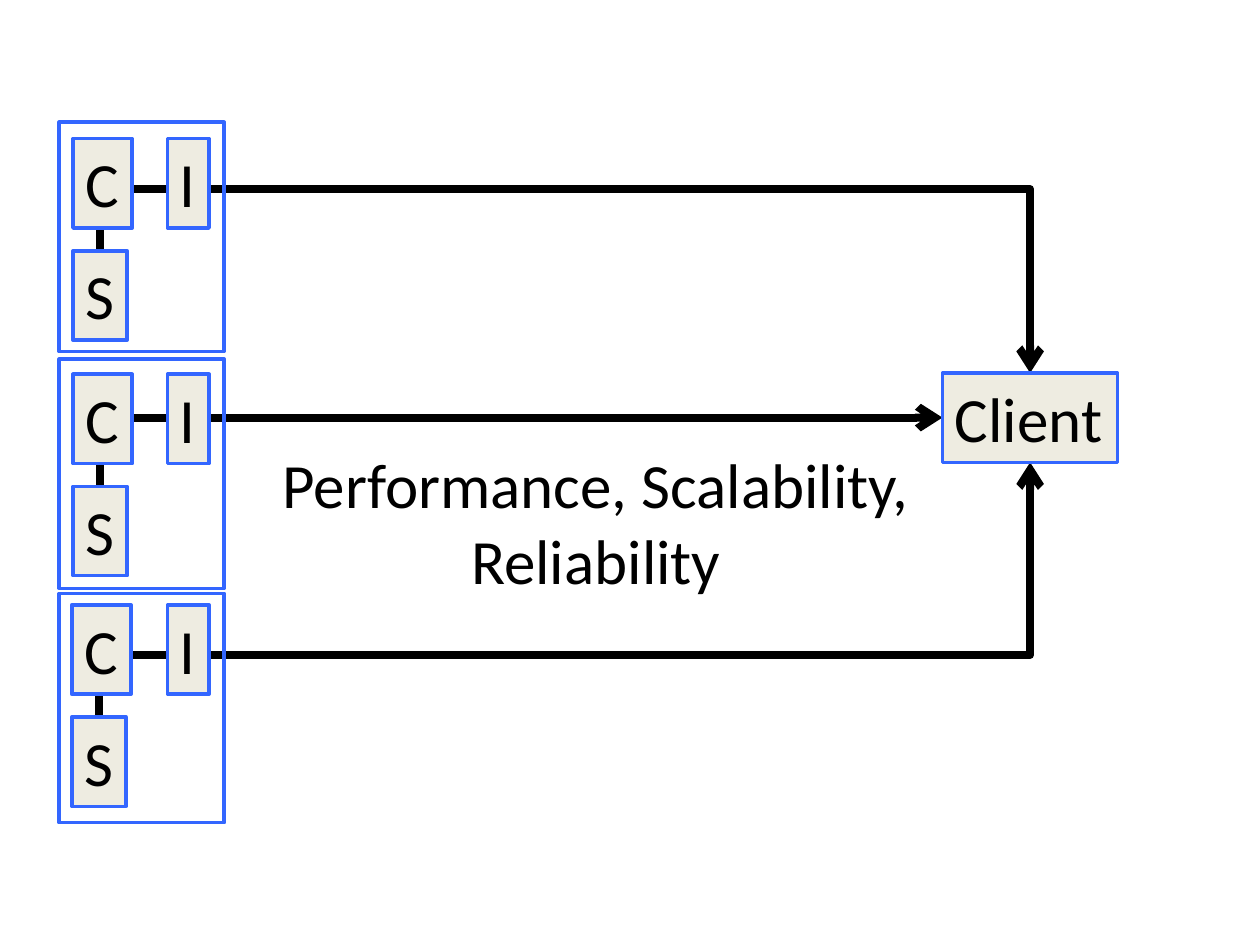
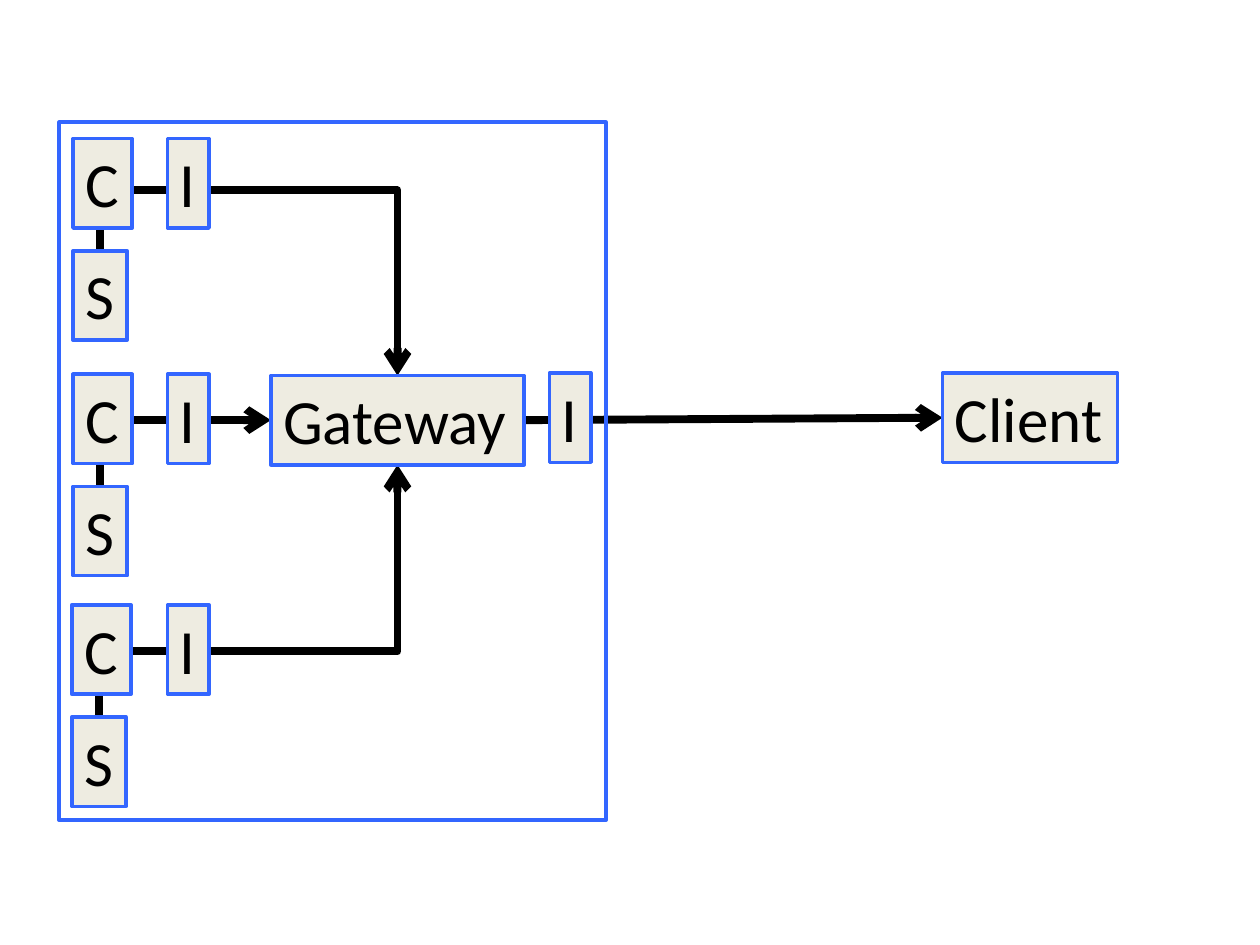
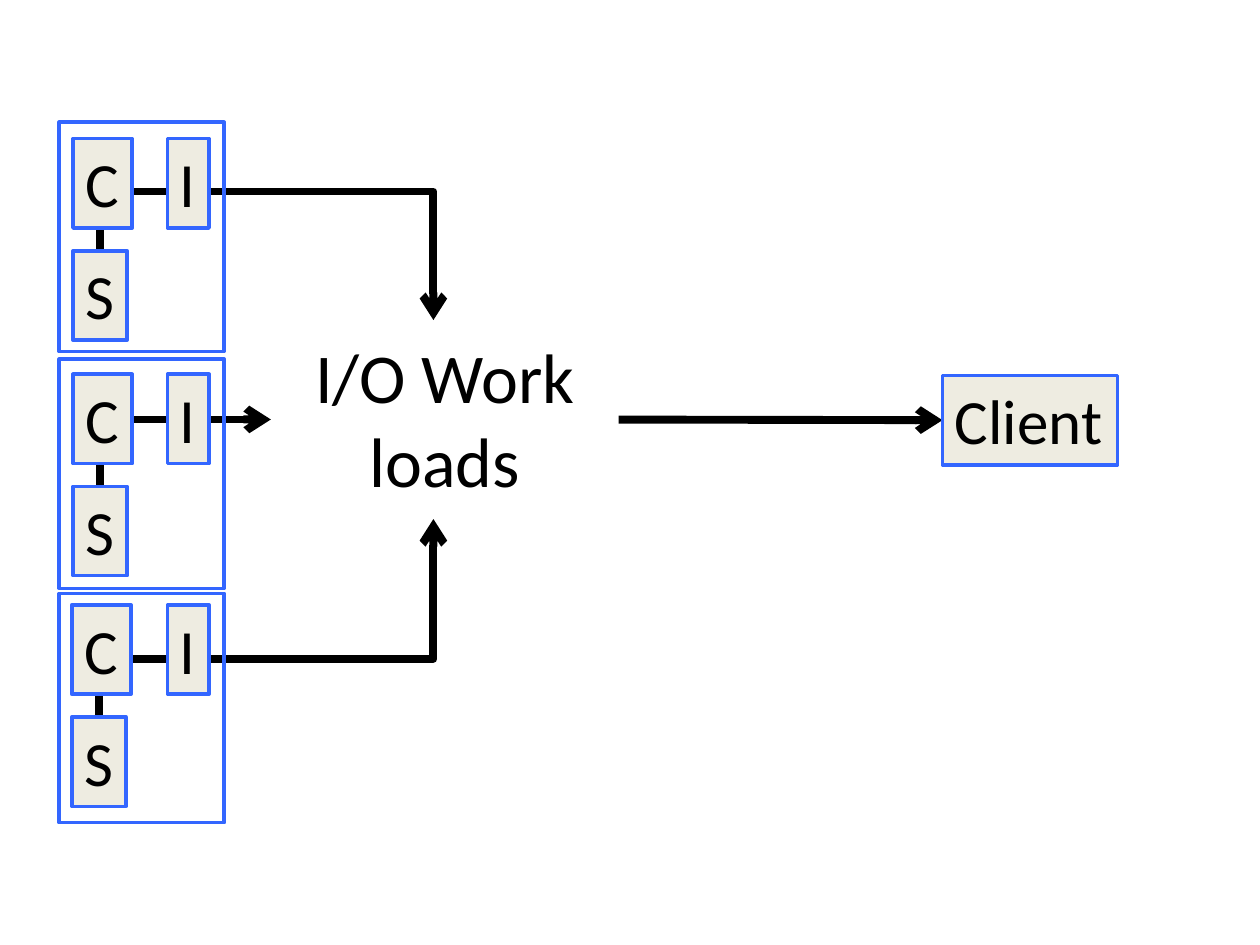
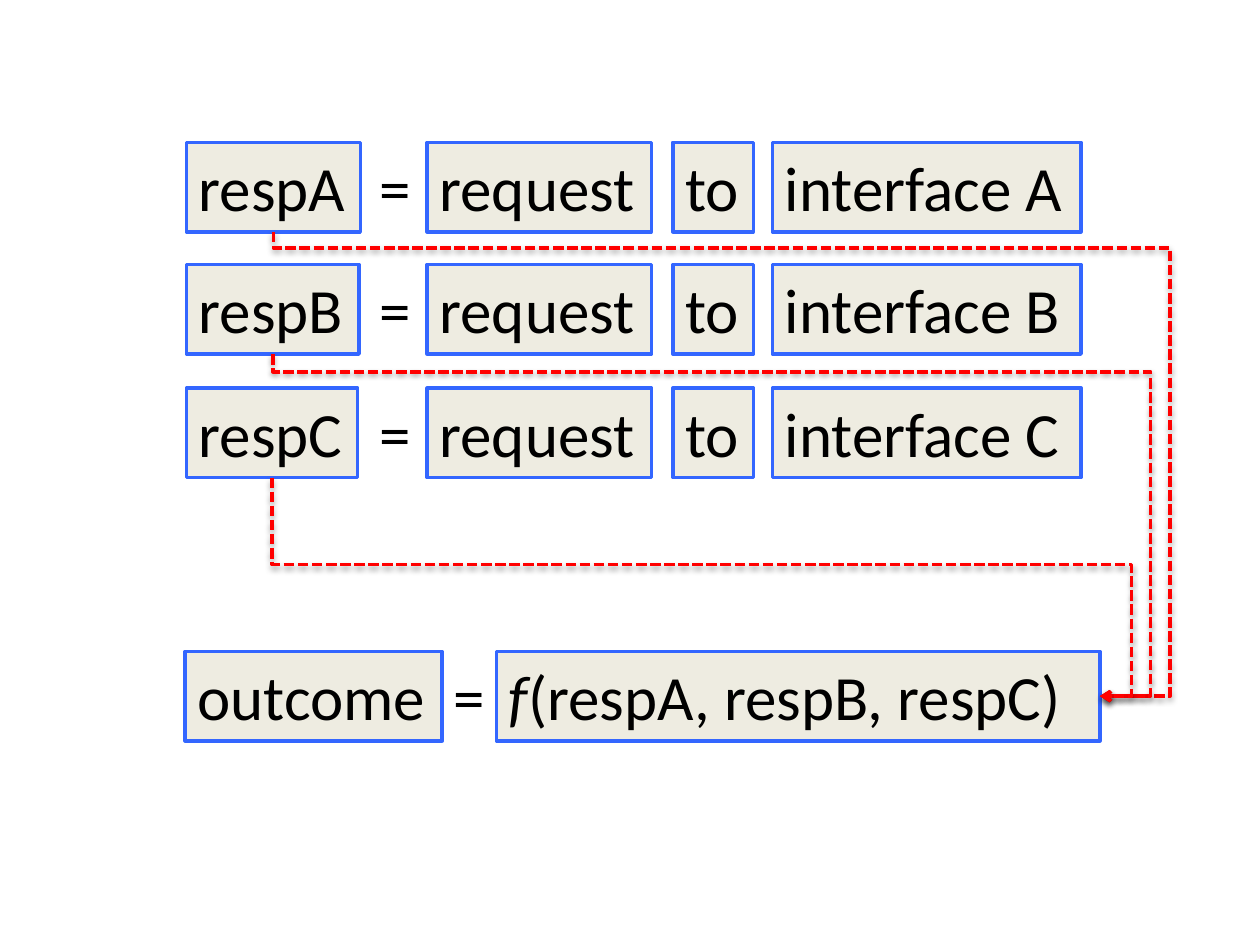
"""Build four diagram slides about clients, interfaces and composed responses."""
from dataclasses import dataclass

from lxml.etree import SubElement
from pptx import Presentation
from pptx.dml.color import RGBColor
from pptx.enum.dml import MSO_LINE
from pptx.enum.shapes import MSO_CONNECTOR, MSO_SHAPE
from pptx.enum.text import MSO_AUTO_SIZE, PP_ALIGN
from pptx.oxml import parse_xml
from pptx.oxml.ns import nsdecls, qn
from pptx.util import Inches, Pt


@dataclass(frozen=True)
class Theme:
    font: str = "Calibri"
    ink: RGBColor = RGBColor(0, 0, 0)
    fill: RGBColor = RGBColor(0xEE, 0xEC, 0xE1)
    border: RGBColor = RGBColor(0x33, 0x66, 0xFF)
    feedback: RGBColor = RGBColor(0xFF, 0, 0)
    label_size: Pt = Pt(36)
    large_size: Pt = Pt(40)
    thin: Pt = Pt(2)
    thick: Pt = Pt(4.5)


theme = Theme()
deck = Presentation()
deck.slide_width, deck.slide_height = Inches(10), Inches(7.5)
COLUMN = deck.slide_width // 100
ROW = deck.slide_height // 75
LABEL_ROWS = 7.1
TOP, LEFT, BOTTOM, RIGHT = range(4)
SHADOW = (
    f'<a:effectLst {nsdecls("a")}><a:outerShdw blurRad="40000" dist="20000" dir="5400000" '
    'rotWithShape="0"><a:srgbClr val="000000"><a:alpha val="38000"/></a:srgbClr>'
    '</a:outerShdw></a:effectLst>'
)


def add_label(page, text, column, row, columns, rows=LABEL_ROWS, boxed=True, size=theme.label_size):
    box = page.shapes.add_textbox(
        round(column * COLUMN), round(row * ROW), round(columns * COLUMN), round(rows * ROW))
    frame = box.text_frame
    frame.text = text
    frame.word_wrap = rows > LABEL_ROWS
    frame.auto_size = MSO_AUTO_SIZE.SHAPE_TO_FIT_TEXT
    if boxed:
        box.fill.solid()
        box.fill.fore_color.rgb = theme.fill
        box.line.color.rgb = theme.border
        box.line.width = theme.thin
    for para in frame.paragraphs:
        para.alignment = PP_ALIGN.CENTER if frame.word_wrap else PP_ALIGN.LEFT
        for span in para.runs:
            span.font.name, span.font.size = theme.font, size
            span.font.color.rgb = theme.ink
    return box


def add_arrow(page, source, target, turns=None, end=(0, 0), feedback=False):
    kind = MSO_CONNECTOR.STRAIGHT if turns is None else MSO_CONNECTOR.ELBOW
    arrow = page.shapes.add_connector(kind, 0, 0, round(end[0] * COLUMN), round(end[1] * ROW))
    arrow.begin_connect(*source)
    if target:
        arrow.end_connect(*target)
    properties = arrow._element.spPr
    if turns is not None:
        start_x, start_y, end_x, end_y = arrow.begin_x, arrow.begin_y, arrow.end_x, arrow.end_y
        across, along = abs(end_x - start_x), abs(end_y - start_y)
        rising = end_y < start_y
        arrow.left = (start_x + end_x - along) // 2
        arrow.top = (start_y + end_y - across) // 2
        arrow.width, arrow.height = along, across
        arrow.rotation = 90 if rising else 270
        properties.xfrm.flipH, properties.xfrm.flipV = True, rising
        geometry = properties.find(qn("a:prstGeom"))
        geometry.set("prst", f"bentConnector{len(turns) + 2}")
        guides = geometry.find(qn("a:avLst"))
        spans = ((ROW, start_y, end_y), (COLUMN, start_x, end_x))
        for number, (turn, (unit, first, last)) in enumerate(zip(turns, spans), 1):
            share = round((turn * unit - first) / (last - first) * 100000)
            SubElement(guides, qn("a:gd"), name=f"adj{number}", fmla=f"val {share}")
    arrow.line.color.rgb = theme.feedback if feedback else theme.ink
    arrow.line.width = theme.thin if feedback else theme.thick
    if feedback:
        arrow.line.dash_style = MSO_LINE.SQUARE_DOT
    SubElement(properties.find(qn("a:ln")), qn("a:tailEnd"), type="arrow")
    if feedback:
        properties.append(parse_xml(SHADOW))
    else:
        SubElement(properties, qn("a:effectLst"))
        page.shapes._spTree.insert(2, arrow._element)


blank = deck.slide_layouts[6]
separate_frames = [(row, 13.1, 18.2) for row in (9.7, 28.5, 47.1)]
shared_frame = [(9.7, 43.4, 55.4)]
scenes = [
    ("quality", separate_frames, 29.6, 15, 52),
    ("gateway", shared_frame, 29.6, 15.1, 51.7),
    ("workload", separate_frames, 29.8, 15.2, 52.3),
]
for scene, frames, client_row, upper_turn, lower_turn in scenes:
    page = deck.slides.add_slide(blank)
    for row, columns, rows in frames:
        frame = page.shapes.add_shape(
            MSO_SHAPE.RECTANGLE, round(4.7 * COLUMN), round(row * ROW),
            round(columns * COLUMN), round(rows * ROW))
        frame.shadow.inherit = False
        frame.fill.background()
        frame.line.color.rgb = theme.border
        frame.line.width = theme.thin

    stores = []
    for column, row in ((5.8, 11), (5.8, 29.7), (5.7, 48)):
        add_label(page, "C", column, row, 4.7)
        add_label(page, "I", 13.3, row, 3.3)
        stores.append(add_label(page, "S", column, row + 8.9, 4.3))
    upper, middle, lower = [(store, TOP) for store in stores]

    client = add_label(page, "Client", 74.8, client_row, 13.9)
    hub = client
    if scene == "quality":
        add_label(page, "Performance, Scalability,\nReliability", 19.8, 34.9, 55, 13.1, boxed=False)
    elif scene == "gateway":
        hub = add_label(page, "Gateway", 21.5, 29.8, 20.1)
        add_label(page, "I", 43.6, 29.6, 3.3)
    else:
        hub = add_label(page, "I/O Work loads", 21.5, 26, 27.6, 14.6, boxed=False, size=theme.large_size)

    if hub is not client:
        add_arrow(page, (hub, RIGHT), (client, LEFT))
    add_arrow(page, middle, (hub, LEFT), ())
    if scene == "workload":
        add_arrow(page, upper, None, (upper_turn,), end=(34.4, 25.4))
        add_arrow(page, lower, None, (lower_turn,), end=(34.4, 41.2))
    else:
        add_arrow(page, upper, (hub, TOP), (upper_turn,))
        add_arrow(page, lower, (hub, BOTTOM), (lower_turn,))

page = deck.slides.add_slide(blank)
responses = []
for letter, row, columns in (("A", 11.3, 13.8), ("B", 21, 13.7), ("C", 30.8, 13.6)):
    responses.append(add_label(page, f"resp{letter}", 14.8, row, columns))
    add_label(page, "=", 29.1, row, 4.5, boxed=False)
    add_label(page, "request", 33.9, row, 17.8)
    add_label(page, "to", 53.4, row, 6.4)
    add_label(page, f"interface {letter}", 61.3, row, 24.5)

add_label(page, "outcome", 14.7, 51.7, 20.4)
add_label(page, "=", 35, 51.7, 4.5, boxed=False)
function = add_label(page, "f", 39.4, 51.7, 47.9)
para = function.text_frame.paragraphs[0]
para.runs[0].font.italic = True
span = para.add_run()
span.text = "(respA, respB, respC)"
span.font.name, span.font.size = theme.font, theme.label_size
span.font.color.rgb = theme.ink

for response, turns in zip(responses, ((19.7, 92.9), (29.5, 91.3), (44.8, 89.8))):
    add_arrow(page, (response, BOTTOM), (function, RIGHT), turns, feedback=True)

deck.save("out.pptx")
